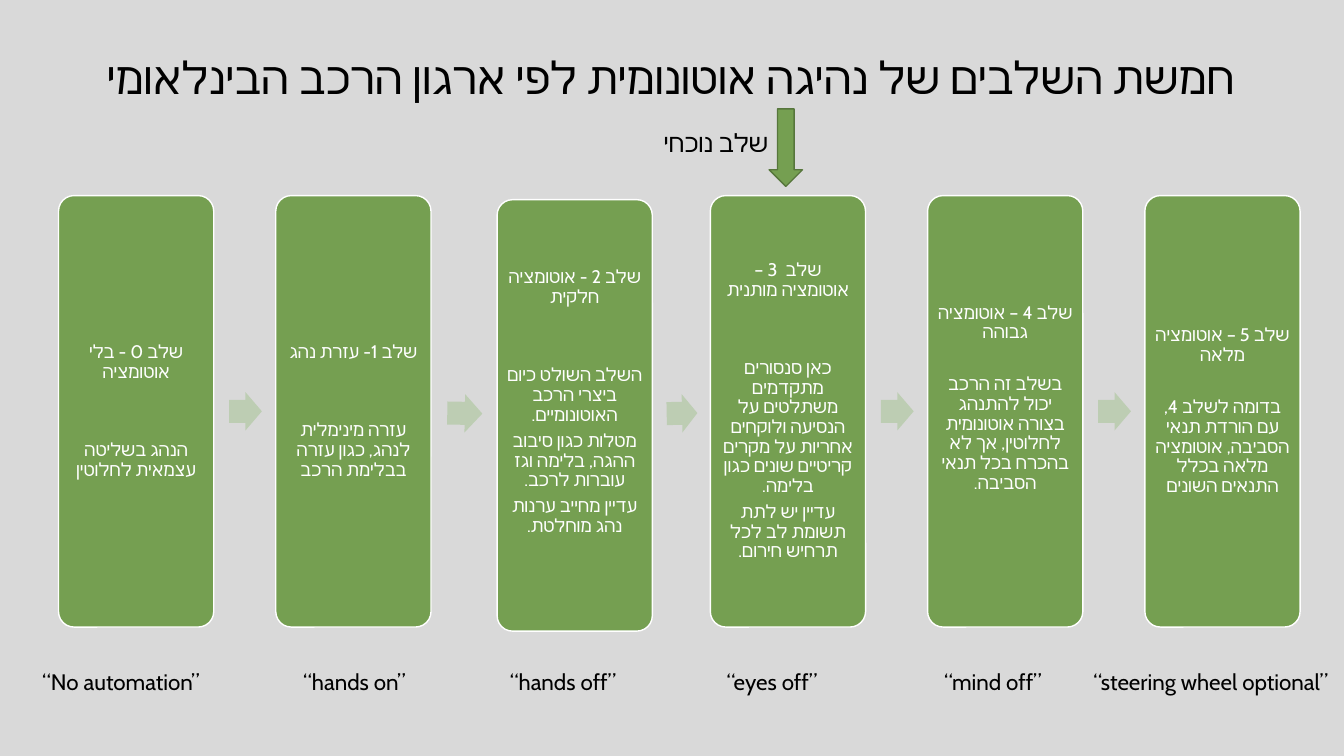
"""Builds a slide on the stages of autonomous driving."""
import math

from lxml import etree
from pptx import Presentation
from pptx.dml.color import RGBColor
from pptx.enum.shapes import MSO_SHAPE
from pptx.enum.text import MSO_ANCHOR, MSO_AUTO_SIZE, PP_ALIGN
from pptx.oxml.ns import qn
from pptx.util import Pt

ROUNDED = MSO_SHAPE.ROUNDED_RECTANGLE
RIGHT_ARROW = MSO_SHAPE.RIGHT_ARROW
DOWN_ARROW = MSO_SHAPE.DOWN_ARROW
MIDDLE, BOTTOM = MSO_ANCHOR.MIDDLE, MSO_ANCHOR.BOTTOM
CENTER, LEFT = PP_ALIGN.CENTER, PP_ALIGN.LEFT
NO_AUTOFIT = MSO_AUTO_SIZE.NONE

FONT = "Cabin"
BACKGROUND = RGBColor(0xD9, 0xD9, 0xD9)
GREEN = RGBColor(0x75, 0x9F, 0x51)
DARK_GREEN = RGBColor(0x57, 0x76, 0x3C)
PALE_GREEN = RGBColor(0xBD, 0xCD, 0xB3)
WHITE = RGBColor(0xFF, 0xFF, 0xFF)
BLACK = RGBColor(0, 0, 0)

CARD_LEFT, CARD_TOP, CARD_PITCH = 41.8, 139.7, 155.2
CARD_WIDTH, CARD_HEIGHT = 110.9, 308.2
CARD_NUDGES = {2: (2.9, 2.9)}
INSET = 3.6
PARAGRAPH_GAP, BLANK_LINE = 4.6, 18.6

# Each stage: heading, details, blank lines after the heading, blank lines at the end.
STAGES = [
    ("שלב 0 - בלי אוטומציה", ["הנהג בשליטה עצמאית לחלוטין"], 2, 0),
    ("שלב 1- עזרת נהג", ["עזרה מינימלית לנהג, כגון עזרה בבלימת הרכב"], 2, 0),
    ("שלב 2 - אוטומציה חלקית",
     ["השלב השולט כיום ביצרי הרכב האוטונומיים.",
      "מטלות כגון סיבוב ההגה, בלימה וגז עוברות לרכב.",
      "עדיין מחייב ערנות נהג מוחלטת."], 2, 1),
    ("שלב  3 – אוטומציה מותנית",
     ["כאן סנסורים מתקדמים משתלטים על הנסיעה ולוקחים אחריות על מקרים "
      "קריטיים שונים כגון בלימה.",
      "עדיין יש לתת תשומת לב לכל תרחיש חירום."], 2, 0),
    ("שלב 4 – אוטומציה גבוהה",
     ["בשלב זה הרכב יכול להתנהג בצורה אוטונומית לחלוטין, אך לא בהכרח "
      "בכל תנאי הסביבה."], 1, 1),
    ("שלב 5 – אוטומציה מלאה",
     ["בדומה לשלב 4, עם הורדת תנאי הסביבה, אוטומציה מלאה בכלל התנאים "
      "השונים"], 1, 0),
]
CAPTIONS = [
    ("“No automation”", 23, 136),
    ("“hands on”", 209.5, 97),
    ("“hands off”", 357.1, 97),
    ("“eyes off”", 511.9, 97),
    ("“mind off”", 667.4, 97),
    ("“steering wheel optional”", 774, 197),
]


def format_paragraph(paragraph, size, color):
    """Set font, size and colour on every run, for Latin and Hebrew script."""
    for run in paragraph.runs:
        run.font.name = FONT
        run.font.size = Pt(size)
        run.font.color.rgb = color
        hebrew = etree.SubElement(run.font._element, qn("a:cs"))
        hebrew.set("typeface", FONT)


def add_figure(slide, kind, left, top, width, height, fill, line=None):
    """Add a filled preset shape, outlined if a line colour is given."""
    shape = slide.shapes.add_shape(kind, Pt(left), Pt(top), Pt(width), Pt(height))
    shape.shadow.inherit = False
    shape.fill.solid()
    shape.fill.fore_color.rgb = fill
    if line is None:
        shape.line.fill.background()
    else:
        shape.line.color.rgb = line
        shape.line.width = Pt(1)
    return shape


def add_label(slide, text, left, top, width, height, size):
    """Add a black single-line label."""
    frame = slide.shapes.add_textbox(Pt(left), Pt(top), Pt(width), Pt(height)).text_frame
    frame.word_wrap = True
    frame.text = text
    format_paragraph(frame.paragraphs[0], size, BLACK)


def set_title(slide, text):
    """Place and format the title placeholder."""
    title = slide.shapes.title
    title.left, title.top, title.width, title.height = Pt(69), Pt(20), Pt(860), Pt(57.6)
    frame = title.text_frame
    frame.text = text
    frame.auto_size = NO_AUTOFIT
    frame.vertical_anchor = BOTTOM
    paragraph = frame.paragraphs[0]
    paragraph.alignment = LEFT
    paragraph.line_spacing = Pt(40)
    format_paragraph(paragraph, 32, BLACK)


def card_position(index):
    """Return the left and top of a stage card."""
    shift_x, shift_y = CARD_NUDGES.get(index, (0, 0))
    return CARD_LEFT + index * CARD_PITCH + shift_x, CARD_TOP + shift_y


def add_card(slide, index, heading, details, blanks_between, blanks_after):
    """Add a rounded card with a heading and its details."""
    left, top = card_position(index)
    card = add_figure(slide, ROUNDED, left, top, CARD_WIDTH, CARD_HEIGHT, GREEN, WHITE)
    card.adjustments[0] = 0.1
    frame = card.text_frame
    frame.word_wrap = True
    frame.vertical_anchor = MIDDLE
    frame.margin_left = frame.margin_right = frame.margin_top = Pt(INSET)
    frame.margin_bottom = Pt(INSET + blanks_after * BLANK_LINE)
    frame.text = "\n".join([heading, *details])
    for paragraph in frame.paragraphs:
        paragraph._p.get_or_add_pPr().set("rtl", "1")
        paragraph.alignment = CENTER
        paragraph.line_spacing = 0.9
        paragraph.space_after = Pt(PARAGRAPH_GAP)
        format_paragraph(paragraph, 13, WHITE)
    frame.paragraphs[0].space_after = Pt(PARAGRAPH_GAP + blanks_between * BLANK_LINE)


def add_step_arrow(slide, index):
    """Add the arrow from one card to the next, turned along their centres."""
    left, top = card_position(index)
    next_left, next_top = card_position(index + 1)
    gap = next_left - left - CARD_WIDTH
    width, height = 0.53 * gap, 27.4
    center_x = next_left - gap / 2 + 0.5
    center_y = (top + next_top + CARD_HEIGHT) / 2
    arrow = add_figure(slide, RIGHT_ARROW, center_x - width / 2, center_y - height / 2,
                       width, height, PALE_GREEN)
    arrow.adjustments[0] = 0.6
    arrow.adjustments[1] = 0.5
    arrow.rotation = math.degrees(math.atan2(next_top - top, next_left - left))


def main():
    """Build and save the slide."""
    presentation = Presentation()
    presentation.slide_width, presentation.slide_height = Pt(960), Pt(540)
    slide = presentation.slides.add_slide(presentation.slide_layouts[5])
    slide.background.fill.solid()
    slide.background.fill.fore_color.rgb = BACKGROUND
    set_title(slide, "חמשת השלבים של נהיגה אוטונומית לפי ארגון הרכב הבינלאומי")
    for index, stage in enumerate(STAGES):
        add_card(slide, index, *stage)
    for index in range(len(STAGES) - 1):
        add_step_arrow(slide, index)
    for text, left, width in CAPTIONS:
        add_label(slide, text, left, 473.8, width, 26.6, 16)
    add_figure(slide, DOWN_ARROW, 549.4, 77.8, 23.8, 55.4, GREEN, DARK_GREEN)
    add_label(slide, "שלב נוכחי", 467, 87.1, 112, 28.8, 18)
    presentation.save("out.pptx")


if __name__ == "__main__":
    main()
